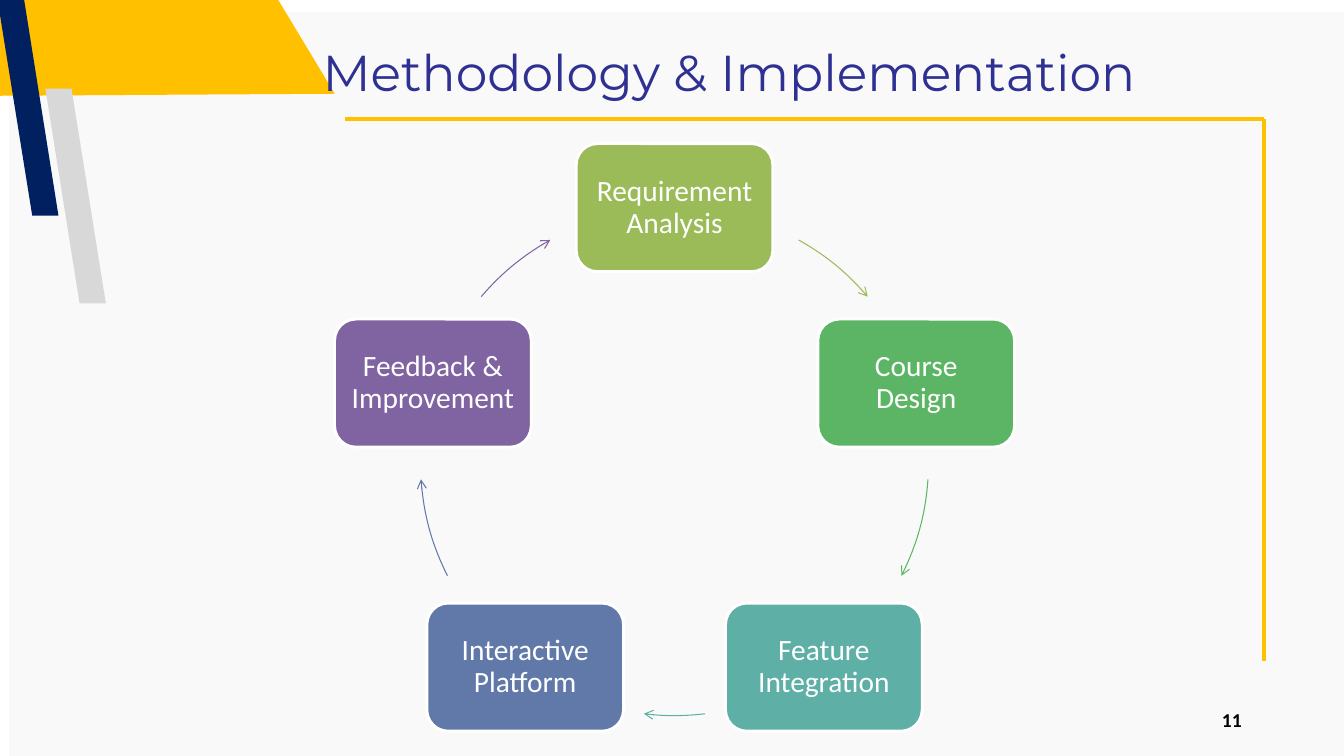
"""Build the methodology slide: a five-step cycle with a decorated title."""
import math

from lxml import etree
from pptx import Presentation
from pptx.dml.color import RGBColor
from pptx.enum.shapes import MSO_CONNECTOR, MSO_SHAPE
from pptx.enum.text import MSO_ANCHOR, PP_ALIGN
from pptx.oxml.ns import qn
from pptx.util import Inches, Pt

ARC, ROUNDED = MSO_SHAPE.ARC, MSO_SHAPE.ROUNDED_RECTANGLE
STRAIGHT = MSO_CONNECTOR.STRAIGHT
TOP, MIDDLE = MSO_ANCHOR.TOP, MSO_ANCHOR.MIDDLE
LEFT, CENTER = PP_ALIGN.LEFT, PP_ALIGN.CENTER

WHITE = RGBColor(0xFF, 0xFF, 0xFF)
BLACK = RGBColor(0, 0, 0)
PALE = RGBColor(0xF9, 0xF9, 0xF9)
GOLD = RGBColor(0xFF, 0xC0, 0x00)
NAVY = RGBColor(0x00, 0x20, 0x60)
SILVER = RGBColor(0xD8, 0xD8, 0xD8)
INDIGO = RGBColor(0x2E, 0x31, 0x92)

TITLE = "Methodology & Implementation"
PAGE_NUMBER = "11"
STEPS = [
    ("Requirement Analysis", RGBColor(0x9B, 0xBB, 0x59), (299.25, 319.5)),
    ("Course Design", RGBColor(0x5C, 0xB5, 0x65), (4, 26.7)),
    ("Feature Integration", RGBColor(0x5E, 0xAF, 0xA6), (83.1, 96.9)),
    ("Interactive Platform", RGBColor(0x61, 0x79, 0xA8), (153.3, 176)),
    ("Feedback & Improvement", RGBColor(0x80, 0x64, 0xA2), (220.5, 240.75)),
]
BACKDROP = [
    (PALE, [(0.09, 0.12), (13.33, 0.12), (13.33, 7.5), (0.09, 7.5)]),
    (GOLD, [(0, 0.95), (0, 0), (2.76, 0), (3.32, 0.93)]),
    (NAVY, [(0.58, 2.14), (0.32, 2.14), (0, 0.15), (0, 0), (0.24, 0)]),
    (SILVER, [(1.05, 3.01), (0.79, 3.01), (0.45, 0.88), (0.71, 0.88)]),
]
FRAME = [(3.42, 1.18), (12.54, 1.18), (12.54, 6.56)]
CENTER_X, CENTER_Y, RADIUS = 6.69, 4.58, 2.52
STEP_WIDTH, STEP_HEIGHT = 1.95, 1.27


def set_font(paragraph, name, size, color, bold=False):
    """Set the font of a whole paragraph."""
    font = paragraph.font
    font.name, font.size, font.bold = name, Pt(size), bold
    font.color.rgb = color


def set_insets(frame, left, top, right, bottom):
    """Set the four text margins in inches."""
    frame.margin_left, frame.margin_top = Inches(left), Inches(top)
    frame.margin_right, frame.margin_bottom = Inches(right), Inches(bottom)


def add_polygon(page, color, points):
    """Add a filled outline without a border."""
    corners = [(Inches(x), Inches(y)) for x, y in points]
    builder = page.shapes.build_freeform(*corners[0])
    builder.add_line_segments(corners[1:])
    shape = builder.convert_to_shape()
    shape.shadow.inherit = False
    shape.fill.solid()
    shape.fill.fore_color.rgb = color
    shape.line.fill.background()


def add_frame(page):
    """Draw the gold rule under the title and down the right side."""
    for start, end in zip(FRAME, FRAME[1:]):
        rule = page.shapes.add_connector(STRAIGHT, *map(Inches, start + end))
        rule.line.color.rgb = GOLD
        rule.line.width = Pt(3)
        etree.SubElement(rule._element.spPr, qn("a:effectLst"))


def add_title(page):
    """Place the title in front of the backdrop."""
    title = page.shapes.title
    page.shapes._spTree.append(title._element)
    title.left, title.top = Inches(3.04), Inches(-0.05)
    title.width, title.height = Inches(9.39), Inches(1.07)
    frame = title.text_frame
    frame.text = TITLE
    frame.vertical_anchor = TOP
    set_insets(frame, 0.16, 0.46, 0, 0)
    paragraph = frame.paragraphs[0]
    paragraph.alignment = LEFT
    set_font(paragraph, "Montserrat", 36, INDIGO)


def add_page_number(page):
    """Write the page number in the lower right corner."""
    box = page.shapes.add_textbox(*map(Inches, (12.11, 7.06, 0.3, 0.25)))
    frame = box.text_frame
    frame.word_wrap = True
    set_insets(frame, 0.01, 0, 0, 0)
    frame.text = PAGE_NUMBER
    paragraph = frame.paragraphs[0]
    paragraph.line_spacing = Pt(14.3)
    set_font(paragraph, "Calibri", 14, BLACK, bold=True)


def add_step(page, index, label, color):
    """Add one step, spaced evenly around the circle from the top."""
    angle = math.radians(index * 360 / len(STEPS) - 90)
    left = CENTER_X + RADIUS * math.cos(angle) - STEP_WIDTH / 2
    top = CENTER_Y + RADIUS * math.sin(angle) - STEP_HEIGHT / 2
    box = page.shapes.add_shape(
        ROUNDED, *map(Inches, (left, top, STEP_WIDTH, STEP_HEIGHT)))
    box.shadow.inherit = False
    box.fill.solid()
    box.fill.fore_color.rgb = color
    box.line.color.rgb = WHITE
    box.line.width = Pt(2)
    frame = box.text_frame
    frame.word_wrap = True
    frame.vertical_anchor = MIDDLE
    set_insets(frame, 0.09, 0.09, 0.09, 0.09)
    frame.text = label
    paragraph = frame.paragraphs[0]
    paragraph.alignment = CENTER
    paragraph.line_spacing = 0.9
    set_font(paragraph, "Calibri", 21, WHITE)


def add_arrow(page, color, angles):
    """Add a curved arrow along the circle between two angles in degrees."""
    arrow = page.shapes.add_shape(ARC, *map(Inches, (
        CENTER_X - RADIUS, CENTER_Y - RADIUS, 2 * RADIUS, 2 * RADIUS)))
    for position, degrees in enumerate(angles):
        arrow.adjustments[position] = degrees * 0.6
    arrow.shadow.inherit = False
    arrow.fill.background()
    arrow.line.color.rgb = color
    arrow.line.width = Pt(0.75)
    outline = arrow._element.spPr.find(qn("a:ln"))
    etree.SubElement(outline, qn("a:tailEnd"), type="arrow")


def main():
    """Assemble and save the slide."""
    deck = Presentation()
    deck.slide_width, deck.slide_height = Inches(13.33), Inches(7.5)
    page = deck.slides.add_slide(deck.slide_layouts[5])
    for color, points in BACKDROP:
        add_polygon(page, color, points)
    add_frame(page)
    add_title(page)
    add_page_number(page)
    for index, (label, color, angles) in enumerate(STEPS):
        add_step(page, index, label, color)
        add_arrow(page, color, angles)
    deck.save("out.pptx")


if __name__ == "__main__":
    main()
